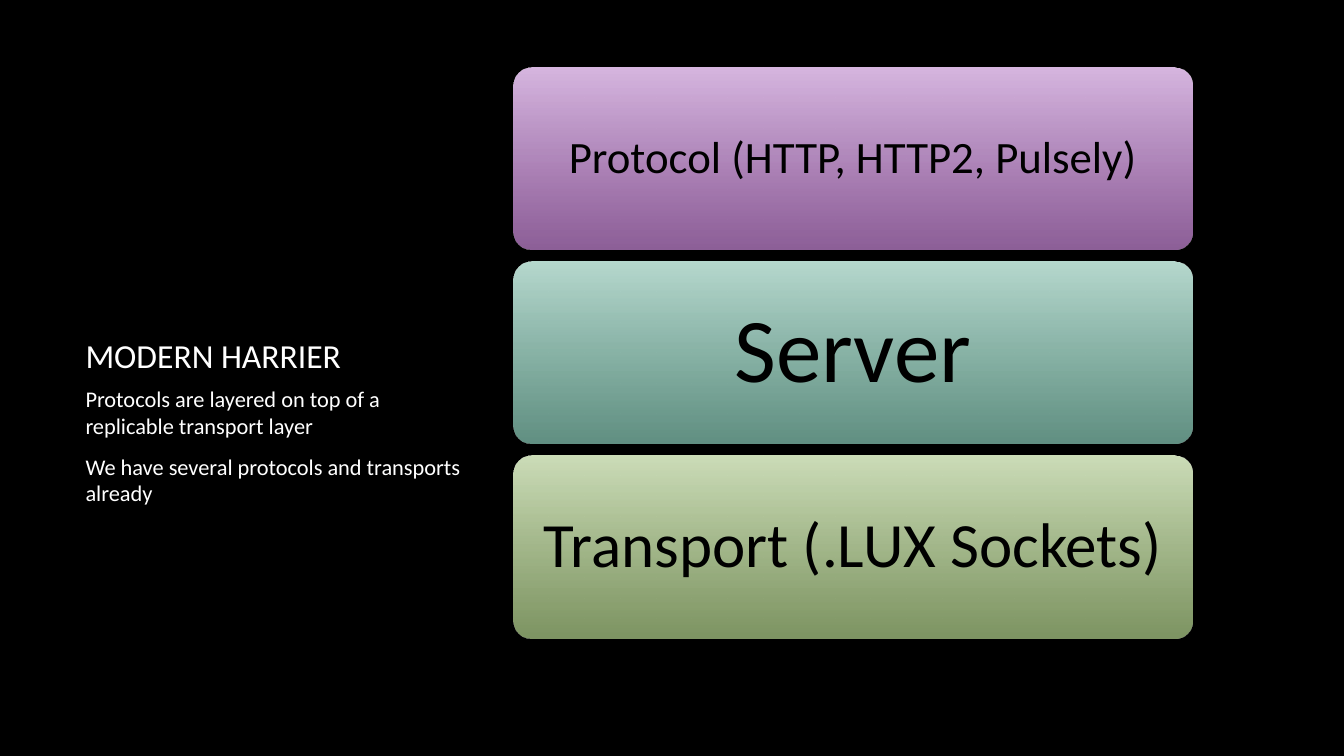
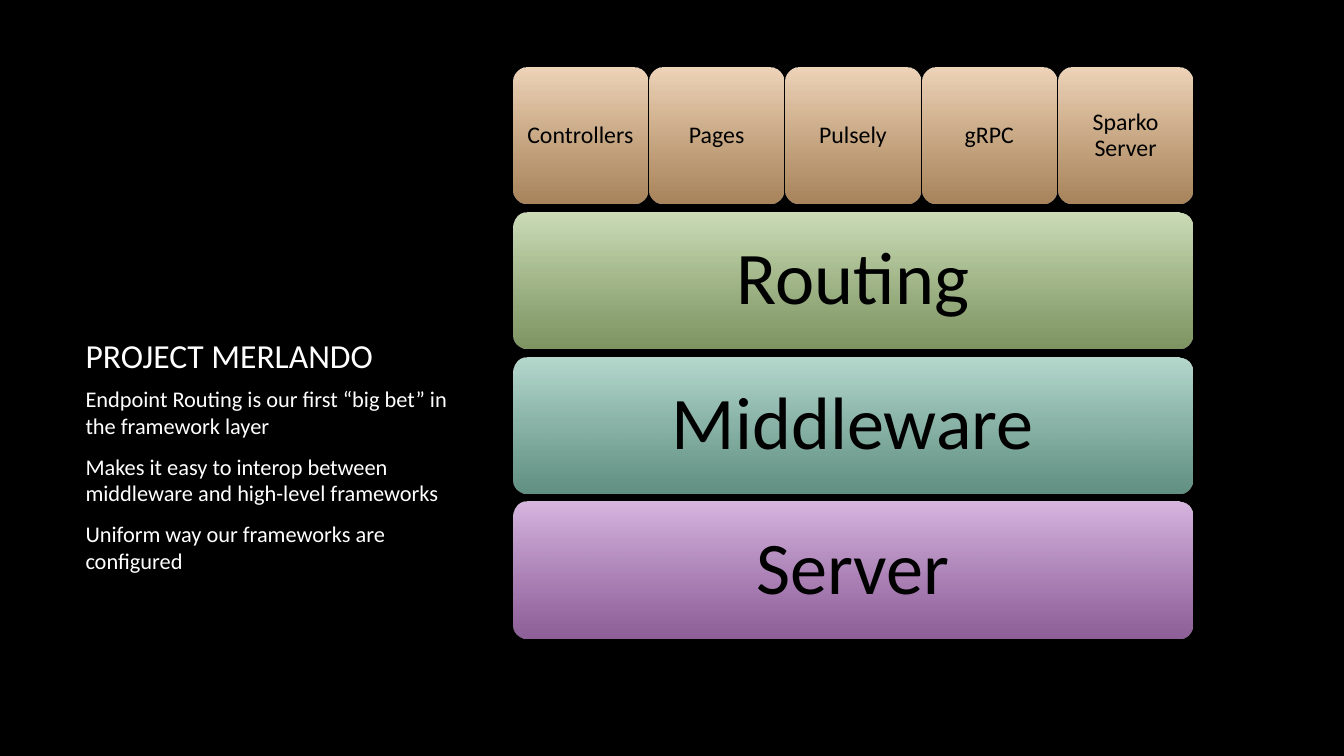
from lxml import etree
from pptx import Presentation
from pptx.dml.color import RGBColor
from pptx.enum.shapes import MSO_SHAPE
from pptx.enum.text import MSO_ANCHOR, PP_ALIGN
from pptx.oxml.ns import qn
from pptx.util import Inches, Pt

ROUNDED = MSO_SHAPE.ROUNDED_RECTANGLE
TOP, MIDDLE, BOTTOM = MSO_ANCHOR.TOP, MSO_ANCHOR.MIDDLE, MSO_ANCHOR.BOTTOM
LEFT, CENTER = PP_ALIGN.LEFT, PP_ALIGN.CENTER

FONT = "Calibri"
COLORS = {"background": "000000", "text": "FFFFFF", "label": "000000"}
GRADIENTS = {
    "purple": ("D8B7E1", "BF82CE"),
    "teal": ("B7DACF", "85C3B1"),
    "green": ("CDDEB9", "ABC987"),
    "orange": ("EFD5BA", "E4B47E"),
}
END_OPACITY = 74
CORNER = 0.1
ROW_GAP_RATIO = 0.064
COLUMN_GAP = 0.02

TITLE_BOX = (0.75, 2.27, 4.03, 1.5)
BODY_BOX = (0.75, 3.77, 4.03, 2)
STACK_BOX = (5.09, 0.67, 6.74, 5.66)

TITLE_STYLE = {"size": 24, "color": "text", "anchor": BOTTOM, "align": LEFT}
BODY_STYLE = {"size": 16, "color": "text", "anchor": TOP, "align": LEFT, "space_after": Pt(10)}
LABEL_STYLE = {"color": "label", "anchor": MIDDLE, "align": CENTER, "line_spacing": 0.9}

PAGES = [
    {
        "title": "MODERN HARRIER",
        "body": [
            "Protocols are layered on top of a replicable transport layer",
            "We have several protocols and transports already",
        ],
        "layers": [
            (["Protocol (HTTP, HTTP2, Pulsely)"], "purple", 32, 0.13),
            (["Server"], "teal", 65, 0.27),
            (["Transport (.LUX Sockets)"], "green", 45, 0.19),
        ],
    },
    {
        "title": "PROJECT MERLANDO",
        "body": [
            "Endpoint Routing is our first “big bet” in the framework layer",
            "Makes it easy to interop between middleware and high-level frameworks",
            "Uniform way our frameworks are configured",
        ],
        "layers": [
            (["Controllers", "Pages", "Pulsely", "gRPC", "Sparko Server"], "orange", 17, 0.07),
            (["Routing"], "green", 53, 0.22),
            (["Middleware"], "teal", 53, 0.22),
            (["Server"], "purple", 53, 0.22),
        ],
    },
]


def inches(box):
    """Convert a box of numbers to lengths."""
    return [Inches(value) for value in box]


def write(shape, lines, style):
    """Fill a shape with one styled paragraph per line."""
    frame = shape.text_frame
    frame.word_wrap = True
    frame.vertical_anchor = style["anchor"]
    for index, line in enumerate(lines):
        para = frame.add_paragraph() if index else frame.paragraphs[0]
        para.alignment = style["align"]
        for name in ("space_after", "line_spacing"):
            if name in style:
                setattr(para, name, style[name])
        span = para.add_run()
        span.text = line
        for name, value in {"name": FONT, "size": Pt(style["size"])}.items():
            setattr(span.font, name, value)
        span.font.color.rgb = RGBColor.from_string(COLORS[style["color"]])


def shade(shape, gradient):
    """Shade a shape downwards to a partly transparent colour."""
    shape.fill.gradient()
    shape.fill.gradient_angle = 270
    for position, (stop, color) in enumerate(zip(shape.fill.gradient_stops, GRADIENTS[gradient])):
        stop.position = position
        stop.color.rgb = RGBColor.from_string(color)
    end_color = shape.element.xpath(".//a:gs/a:srgbClr")[-1]
    etree.SubElement(end_color, qn("a:alpha"), val=str(END_OPACITY * 1000))


def add_block(page, box, label, gradient, size, inset):
    """Add one rounded, labelled block."""
    block = page.shapes.add_shape(ROUNDED, *inches(box))
    block.adjustments[0] = CORNER
    block.shadow.inherit = False
    block.line.fill.background()
    shade(block, gradient)
    for side in ("left", "top", "right", "bottom"):
        setattr(block.text_frame, f"margin_{side}", Inches(inset))
    write(block, [label], {**LABEL_STYLE, "size": size})


def add_stack(page, box, layers):
    """Stack layers in a box, each split into equal columns."""
    left, top, width, height = box
    row_height = height / (len(layers) + (len(layers) - 1) * ROW_GAP_RATIO)
    row_step = row_height * (1 + ROW_GAP_RATIO)
    for row, (labels, gradient, size, inset) in enumerate(layers):
        column_step = (width + COLUMN_GAP) / len(labels)
        for column, label in enumerate(labels):
            block_box = (left + column * column_step, top + row * row_step,
                         column_step - COLUMN_GAP, row_height)
            add_block(page, block_box, label, gradient, size, inset)


def add_page(deck, content):
    """Add a page with a title, body text and a stack of layers."""
    page = deck.slides.add_slide(deck.slide_layouts[6])
    page.background.fill.solid()
    page.background.fill.fore_color.rgb = RGBColor.from_string(COLORS["background"])
    write(page.shapes.add_textbox(*inches(TITLE_BOX)), [content["title"]], TITLE_STYLE)
    write(page.shapes.add_textbox(*inches(BODY_BOX)), content["body"], BODY_STYLE)
    add_stack(page, STACK_BOX, content["layers"])


def main():
    """Build and save the deck."""
    deck = Presentation()
    deck.slide_width, deck.slide_height = inches((13.33, 7.5))
    for content in PAGES:
        add_page(deck, content)
    deck.save("out.pptx")


if __name__ == "__main__":
    main()
